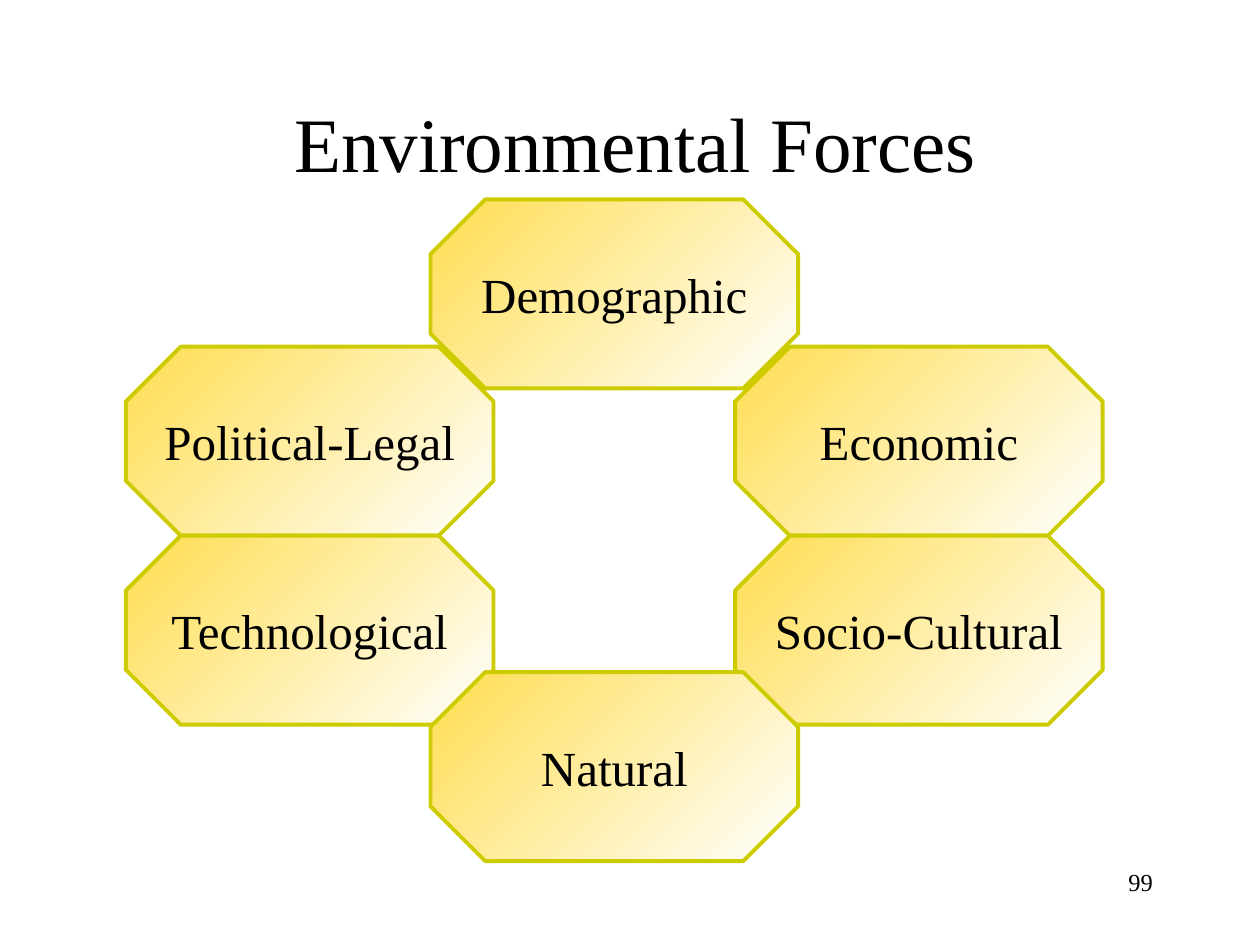
"""Build the Environmental Forces slide with a ring of six octagons."""
from pptx import Presentation
from pptx.dml.color import RGBColor
from pptx.enum.shapes import MSO_SHAPE
from pptx.enum.text import MSO_ANCHOR, PP_ALIGN
from pptx.util import Cm, Pt

BLACK = RGBColor(0x00, 0x00, 0x00)
WHITE = RGBColor(0xFF, 0xFF, 0xFF)
GOLD = RGBColor(0xFF, 0xDD, 0x4F)
OLIVE = RGBColor(0xCC, 0xCC, 0x00)

FORCE_WIDTH, FORCE_HEIGHT = 7.41, 3.81
LEFT, MIDDLE, RIGHT = [2.54 + 6.14 * column for column in range(3)]
UPPER = 6.99
LOWER = UPPER + FORCE_HEIGHT
FORCES = [
    ("Demographic", MIDDLE, 4.02),
    ("Economic", RIGHT, UPPER),
    ("Political-Legal", LEFT, UPPER),
    ("Socio-Cultural", RIGHT, LOWER),
    ("Technological", LEFT, LOWER),
    ("Natural", MIDDLE, 13.55),
]


def write(box, text, size=28, align=PP_ALIGN.CENTER, anchor=MSO_ANCHOR.MIDDLE, wrap=True):
    frame = box.text_frame
    frame.word_wrap = wrap
    frame.vertical_anchor = anchor
    para = frame.paragraphs[0]
    para.alignment = align
    span = para.add_run()
    span.text = text
    span.font.name = "Times New Roman"
    span.font.size = Pt(size)
    span.font.color.rgb = BLACK


deck = Presentation()
deck.slide_width, deck.slide_height = Cm(25.4), Cm(19.05)
page = deck.slides.add_slide(deck.slide_layouts[6])

title = page.shapes.add_textbox(Cm(2.12), Cm(1.27), Cm(21.38), Cm(3.18))
write(title, "Environmental Forces", size=44)

for name, left, top in FORCES:
    force = page.shapes.add_shape(
        MSO_SHAPE.OCTAGON, Cm(left), Cm(top), Cm(FORCE_WIDTH), Cm(FORCE_HEIGHT)
    )
    force.adjustments[0] = 0.29
    force.shadow.inherit = False
    force.fill.gradient()
    force.fill.gradient_angle = 315
    for stop, color in zip(force.fill.gradient_stops, (GOLD, WHITE)):
        stop.color.rgb = color
    force.line.color.rgb = OLIVE
    force.line.width = Pt(2.25)
    write(force, name, wrap=False)

number = page.shapes.add_textbox(Cm(18.2), Cm(17.36), Cm(5.29), Cm(1.27))
write(number, "99", size=14, align=PP_ALIGN.RIGHT, anchor=MSO_ANCHOR.TOP)

deck.save("out.pptx")
